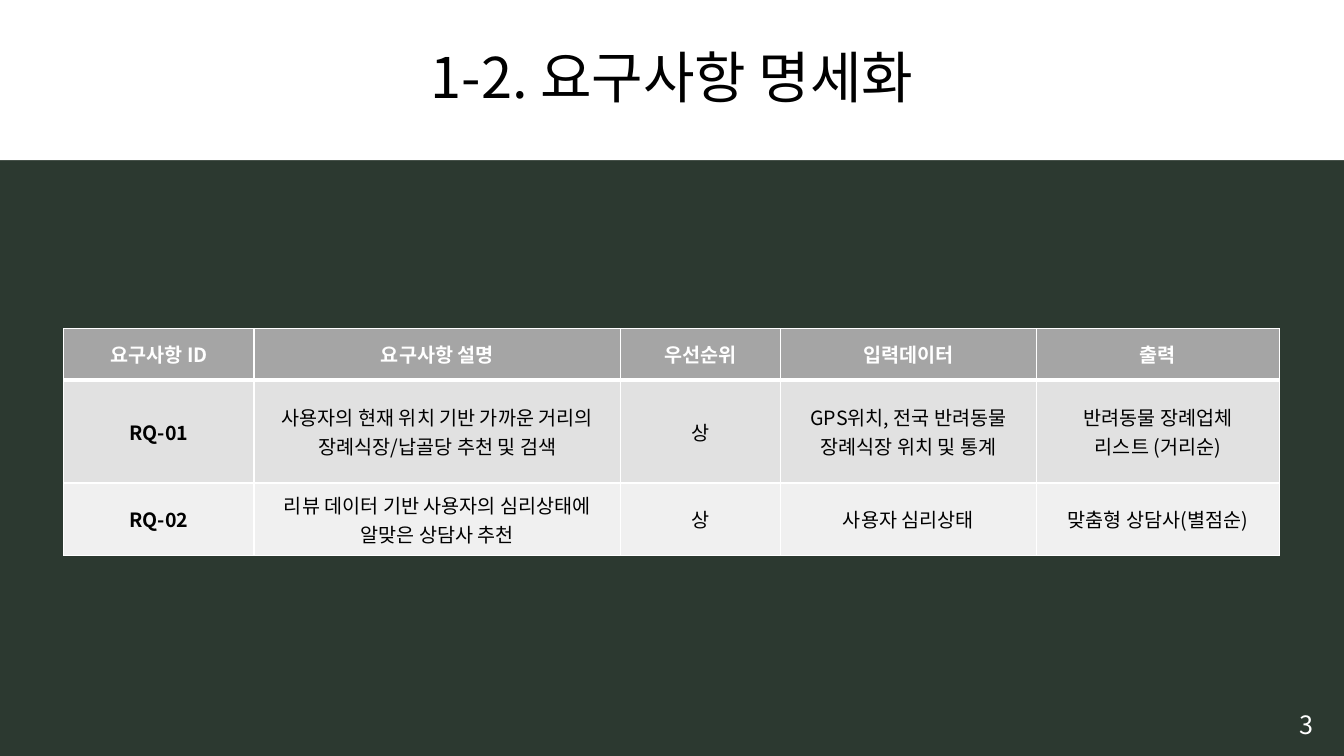
from dataclasses import dataclass

from lxml import etree
from pptx import Presentation
from pptx import util as u
from pptx.dml.color import RGBColor
from pptx.enum import shapes, text
from pptx.oxml import ns


@dataclass(frozen=True)
class Theme:
    font: str = "Noto Sans CJK KR"
    background: str = "2C3930"
    white: str = "FFFFFF"
    black: str = "000000"
    header: str = "A5A5A5"
    bands: tuple = ("E1E1E1", "F0F0F0")
    title_size: float = 40
    number_size: float = 18
    table_size: float = 14
    thin_line: float = 1
    thick_line: float = 3


THEME = Theme()
HEADINGS = ["요구사항 ID", "요구사항 설명", "우선순위", "입력데이터", "출력"]
REQUIREMENTS = [
    ["RQ-01", "사용자의 현재 위치 기반 가까운 거리의 장례식장/납골당 추천 및 검색", "상",
     "GPS위치, 전국 반려동물 장례식장 위치 및 통계", "반려동물 장례업체\n리스트 (거리순)"],
    ["RQ-02", "리뷰 데이터 기반 사용자의 심리상태에 알맞은 상담사 추천", "상",
     "사용자 심리상태", "맞춤형 상담사(별점순)"],
]
COLUMN_WIDTHS = [136, 262, 114, 183, 173.5]
ROW_HEIGHTS = [36.75, 73.5, 51.75]


def paint(fill, color):
    fill.solid()
    fill.fore_color.rgb = RGBColor.from_string(color)


def write(frame, wording, size, color, bold=False, line_spacing=None):
    """Fill a text frame with centred paragraphs, one for each line of wording."""
    for index, line in enumerate(wording.split("\n")):
        paragraph = frame.add_paragraph() if index else frame.paragraphs[0]
        paragraph.alignment = text.PP_ALIGN.CENTER
        if line_spacing:
            paragraph.line_spacing = line_spacing
        run = paragraph.add_run()
        run.text = line
        run.font.size = u.Pt(size)
        run.font.bold = bold
        run.font.color.rgb = RGBColor.from_string(color)
        run.font.name = THEME.font
        east_asian = etree.SubElement(run.font._element, ns.qn("a:ea"))
        east_asian.set("typeface", THEME.font)


def add_title_band(slide, left, top, width, height):
    band = slide.shapes.add_shape(shapes.MSO_SHAPE.RECTANGLE, u.Pt(left), u.Pt(top),
                                  u.Pt(width), u.Pt(height))
    band.shadow.inherit = False
    paint(band.fill, THEME.white)
    band.line.fill.background()
    band.text_frame.word_wrap = True
    band.text_frame.vertical_anchor = text.MSO_ANCHOR.MIDDLE
    write(band.text_frame, "1-2. 요구사항 명세화", THEME.title_size, THEME.black,
          line_spacing=0.9)


def add_page_number(slide, left, top, width, height):
    box = slide.shapes.add_textbox(u.Pt(left), u.Pt(top), u.Pt(width), u.Pt(height))
    box.text_frame.word_wrap = True
    box.text_frame.auto_size = text.MSO_AUTO_SIZE.SHAPE_TO_FIT_TEXT
    write(box.text_frame, "3", THEME.number_size, THEME.white)


def add_borders(cell, top, bottom):
    """Draw white cell borders; top and bottom are line widths in points."""
    properties = cell._tc.get_or_add_tcPr()
    widths = {"L": THEME.thin_line, "R": THEME.thin_line, "T": top, "B": bottom}
    for side, width in widths.items():
        line = etree.SubElement(properties, ns.qn(f"a:ln{side}"), w=str(u.Pt(width)))
        fill = etree.SubElement(line, ns.qn("a:solidFill"))
        etree.SubElement(fill, ns.qn("a:srgbClr"), val=THEME.white)


def add_requirements_table(slide, left, top):
    rows = [HEADINGS] + REQUIREMENTS
    table = slide.shapes.add_table(
        len(rows), len(HEADINGS), u.Pt(left), u.Pt(top),
        u.Pt(sum(COLUMN_WIDTHS)), u.Pt(sum(ROW_HEIGHTS))).table
    for column, width in zip(table.columns, COLUMN_WIDTHS):
        column.width = u.Pt(width)
    for row, height in zip(table.rows, ROW_HEIGHTS):
        row.height = u.Pt(height)

    fills = (THEME.header,) + THEME.bands
    for row_index, row in enumerate(rows):
        is_header = row_index == 0
        for column_index, wording in enumerate(row):
            cell = table.cell(row_index, column_index)
            cell.vertical_anchor = text.MSO_ANCHOR.MIDDLE
            add_borders(cell,
                        top=THEME.thick_line if row_index == 1 else THEME.thin_line,
                        bottom=THEME.thick_line if is_header else THEME.thin_line)
            paint(cell.fill, fills[row_index])
            write(cell.text_frame, wording, THEME.table_size,
                  THEME.white if is_header else THEME.black,
                  bold=is_header or column_index == 0)


def main():
    presentation = Presentation()
    presentation.slide_width = u.Pt(960)
    presentation.slide_height = u.Pt(540)
    slide = presentation.slides.add_slide(presentation.slide_layouts[6])
    paint(slide.background.fill, THEME.background)
    add_title_band(slide, 0, 0, 960, 114.5)
    add_page_number(slide, 906.5, 503.25, 53.5, 29)
    add_requirements_table(slide, 45.5, 234.75)
    presentation.save("out.pptx")


if __name__ == "__main__":
    main()
